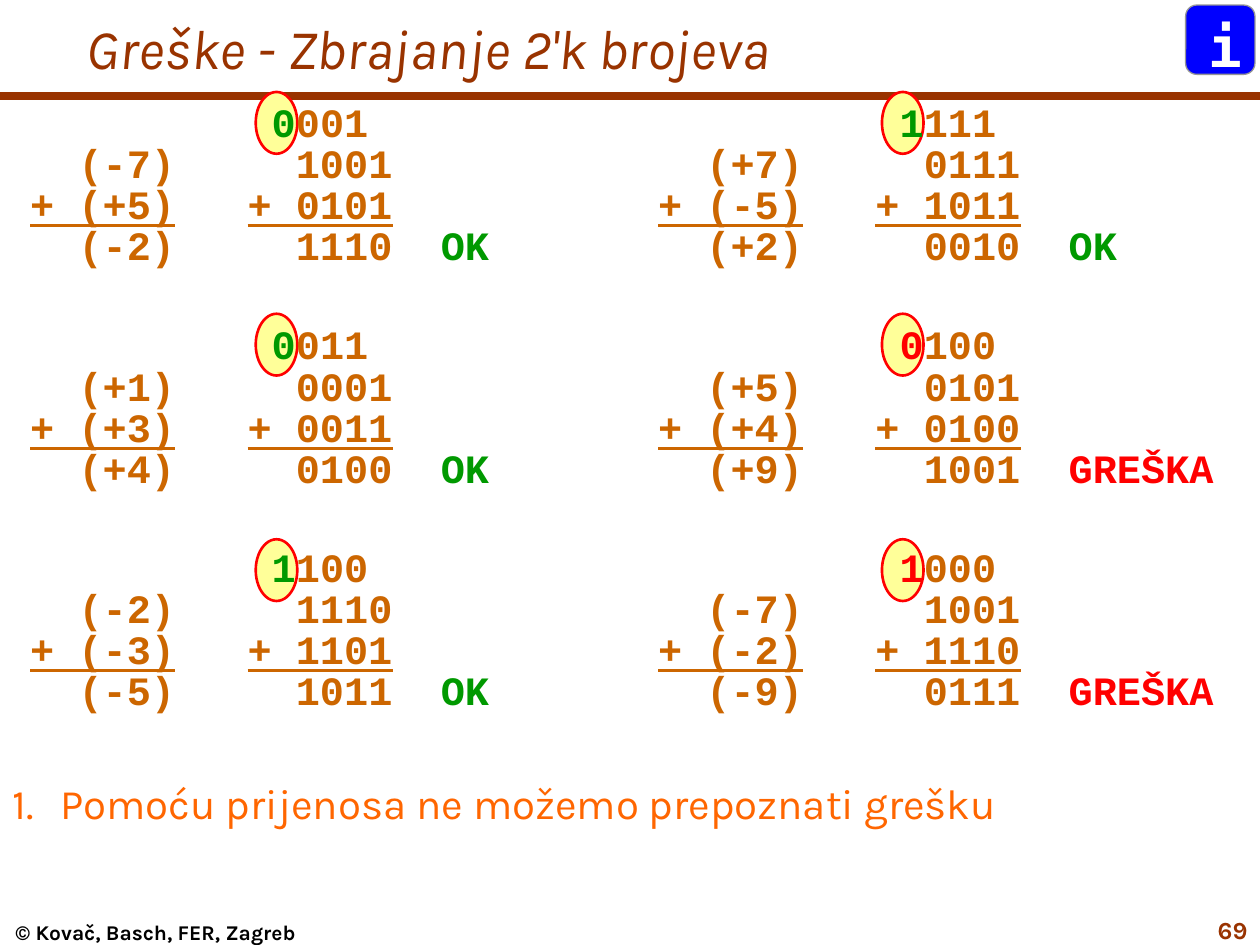
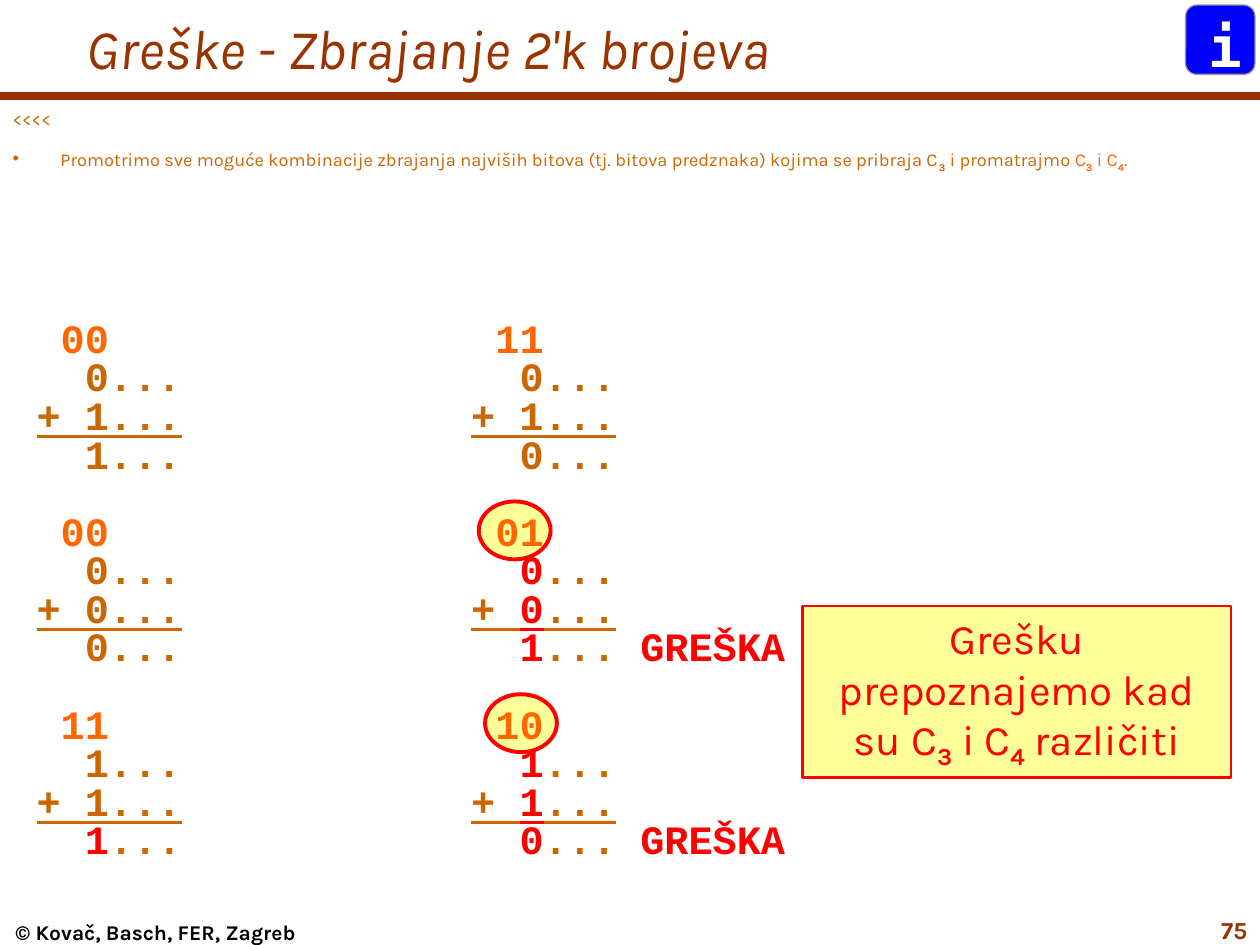
from lxml import etree
from pptx import Presentation
from pptx.oxml.ns import qn
from pptx.dml.color import RGBColor
from pptx.enum import shapes, text
from pptx.util import Inches, Pt

COLORS = {
    "rust": "993300", "ochre": "CC6600", "orange": "FF6600", "red": "FF0000",
    "green": "009900", "yellow": "FFFF99", "blue": "0000FF", "grey": "969696",
    "white": "FFFFFF", "black": "000000",
}
TITLE = "Greške - Zbrajanje 2'k brojeva"
COPYRIGHT = "© Kovač, Basch, FER, Zagreb"
OK, ERROR = ("OK", "green"), ("GREŠKA", "red")

# decimal terms and sum, carries, binary terms and sum, verdict
SIGNED_SUMS = [
    [("(-7)", "(+5)", "(-2)", "0001", "1001", "0101", "1110", OK),
     ("(+7)", "(-5)", "(+2)", "1111", "0111", "1011", "0010", OK)],
    [("(+1)", "(+3)", "(+4)", "0011", "0001", "0011", "0100", OK),
     ("(+5)", "(+4)", "(+9)", "0100", "0101", "0100", "1001", ERROR)],
    [("(-2)", "(-3)", "(-5)", "1100", "1110", "1101", "1011", OK),
     ("(-7)", "(-2)", "(-9)", "1000", "1001", "1110", "0111", ERROR)],
]
CARRY_MARKS = [(x, y, 0.33, 0.49) for x in (2.03, 7) for y in (0.73, 2.49, 4.28)]

# carries, sign bits of the terms, sign bit of the sum, colours of terms and sum
SIGN_SUMS = [
    [("00", "0", "1", "1", "ochre", "ochre"), ("11", "0", "1", "0", "ochre", "ochre")],
    [("00", "0", "0", "0", "ochre", "ochre"), ("01", "0", "0", "1", "red", "red")],
    [("11", "1", "1", "1", "ochre", "red"), ("10", "1", "1", "0", "red", "red")],
]
ERROR_MARKS = [(3.8, 3.98, 0.57, 0.46), (3.85, 5.51, 0.57, 0.46)]

SUB, HOT = {"bold": True, "sub": True}, {"color": "orange"}
CONCLUSION = [("Pomoću prijenosa ne možemo prepoznati grešku", {})]
TASK = [
    ("Promotrimo sve moguće kombinacije zbrajanja najviših bitova "
     "(tj. bitova predznaka) kojima se pribraja C", {}),
    ("3", SUB), (" i promatrajmo ", {}), ("C", HOT), ("3", SUB | HOT),
    (" i C", HOT), ("4", SUB | HOT), (".", {}),
]
RULE = [("Grešku prepoznajemo kad su C", {}), ("3", SUB), (" i C", {}),
        ("4", SUB), (" različiti", {})]

SUM_FONT = {"name": "Courier New", "size": 23, "bold": True, "color": "ochre"}
CHAR_WIDTH = 0.6 * SUM_FONT["size"] / 72
SIGNED_STEP, SIGN_STEP = 26, 18     # characters between neighbouring sums


def rgb(name):
    return RGBColor.from_string(COLORS[name])


def box(at):
    return [Inches(length) for length in at]


def write(paragraph, runs, **base):
    """Add (text, format) runs, each format overriding the base one."""
    for words, changes in runs:
        run = paragraph.add_run()
        run.text = words
        values = {"name": "Karla", "bold": False} | base | changes
        run.font.color.rgb = rgb(values.pop("color"))
        run.font.size = Pt(values.pop("size"))
        if values.pop("sub", False):
            run._r.get_or_add_rPr().set("baseline", "-25000")
        for key, value in values.items():
            setattr(run.font, key, value)


def set_frame(frame, insets=(0.1, 0.05), anchor=text.MSO_ANCHOR.TOP):
    across, down = box(insets)
    for key, value in {
        "word_wrap": True, "auto_size": text.MSO_AUTO_SIZE.NONE,
        "vertical_anchor": anchor, "margin_left": across, "margin_right": across,
        "margin_top": down, "margin_bottom": down,
    }.items():
        setattr(frame, key, value)
    return frame


def place(placeholder, at, **frame_format):
    placeholder.left, placeholder.top, placeholder.width, placeholder.height = box(at)
    return set_frame(placeholder.text_frame, **frame_format)


def add_text(slide, at, runs, align=text.PP_ALIGN.LEFT, insets=(0.1, 0.05), **base):
    frame = set_frame(slide.shapes.add_textbox(*box(at)).text_frame, insets)
    frame.paragraphs[0].alignment = align
    write(frame.paragraphs[0], runs, **base)


def add_filled(slide, kind, at, fill, line, width):
    shape = slide.shapes.add_shape(kind, *box(at))
    shape.shadow.inherit = False
    shape.fill.solid()
    shape.fill.fore_color.rgb = rgb(fill)
    shape.line.color.rgb = rgb(line)
    shape.line.width = Pt(width)
    return shape


def list_item(paragraph, marker, indent=0.38, **attributes):
    """Give a paragraph a hanging indent and a bullet element."""
    properties = paragraph._p.get_or_add_pPr()
    properties.set("marL", str(Inches(indent)))
    properties.set("indent", str(-Inches(indent)))
    etree.SubElement(properties, qn(marker), attributes)


def add_marks(slide, places, width):
    for at in places:
        add_filled(slide, shapes.MSO_SHAPE.OVAL, at, "yellow", "red", width)


def signed_rows(sums):
    """Four rows of (column, text, format) for sums standing side by side."""
    rows = [[], [], [], []]
    for i, (a, b, total, carries, x, y, bits, verdict) in enumerate(sums):
        start = i * SIGNED_STEP
        word, color = verdict
        rows[0] += [(start + 10, carries[0], {"color": color}),
                    (start + 11, carries[1:], {})]
        rows[1] += [(start + 2, a, {}), (start + 11, x, {})]
        rows[2] += [(start, f"+ {b}", {"underline": True}),
                    (start + 9, f"+ {y}", {"underline": True})]
        rows[3] += [(start + 2, total, {}), (start + 11, bits, {}),
                    (start + 17, word, {"color": color})]
    return rows


def sign_rows(sums):
    """Four rows of (column, text, format) for sums of sign bits."""
    rows = [[], [], [], []]
    for i, (carries, x, y, total, terms, result) in enumerate(sums):
        start = i * SIGN_STEP
        line = {"underline": True}
        rows[0] += [(start + 1, carries, HOT)]
        rows[1] += [(start + 2, x, {"color": terms}), (start + 3, "...", {})]
        rows[2] += [(start, "+ ", line), (start + 2, y, line | {"color": terms}),
                    (start + 3, "...", line)]
        rows[3] += [(start + 2, total, {"color": result}), (start + 3, "...", {})]
        if terms == "red":
            rows[3] += [(start + 7, ERROR[0], {"color": ERROR[1]})]
    return rows


def add_sums(slide, at, blocks, spacing, gap):
    """Write blocks of rows in one box, with tab stops on the character grid."""
    frame = set_frame(slide.shapes.add_textbox(*box(at)).text_frame, (0, 0.05))
    for b, rows in enumerate(blocks):
        for r, row in enumerate(rows):
            first = b == r == 0
            paragraph = frame.paragraphs[0] if first else frame.add_paragraph()
            paragraph.line_spacing = spacing
            paragraph.space_before = Pt(gap if b and not r else 0)
            tabs = etree.SubElement(paragraph._p.get_or_add_pPr(), qn("a:tabLst"))
            end = 0
            for column, words, changes in row:
                if column > end:
                    stop = str(Inches(column * CHAR_WIDTH))
                    etree.SubElement(tabs, qn("a:tab"), pos=stop, algn="l")
                    write(paragraph, [("\t", {})], **SUM_FONT)
                write(paragraph, [(words, changes)], **SUM_FONT)
                end = column + len(words)


def start_slide(deck, number):
    """Add a slide with the title, band, footer and info button."""
    slide = deck.slides.add_slide(deck.slide_layouts[1])
    title = place(slide.shapes.title, (0.59, 0, 9.41, 0.75),
                  anchor=text.MSO_ANCHOR.MIDDLE).paragraphs[0]
    title.alignment = text.PP_ALIGN.LEFT
    write(title, [(TITLE, {})], size=32, italic=True, color="rust")

    band = slide.shapes.add_connector(shapes.MSO_CONNECTOR.STRAIGHT,
                                      *box((0, 0.76, 10, 0.76)))
    band.line.color.rgb = rgb("rust")
    band.line.width = Pt(4.5)
    etree.SubElement(band._element.spPr, qn("a:effectLst"))

    add_text(slide, (0, 7.3, 2.47, 0.2), [(COPYRIGHT, {})], text.PP_ALIGN.CENTER,
             (0, 0), size=12, bold=True, color="black")
    add_text(slide, (9.17, 7.21, 0.83, 0.28), [(str(number), {})],
             text.PP_ALIGN.RIGHT, size=14, bold=True, color="rust")
    button = add_filled(slide, shapes.MSO_SHAPE.ROUNDED_RECTANGLE,
                        (9.41, 0.04, 0.55, 0.55), "blue", "grey", 0.75)
    button.adjustments[0] = 0.16
    add_text(slide, (9.49, 0.04, 0.39, 0.64), [("i", {})],
             name="DejaVu Sans Mono", size=32, bold=True, color="white")
    return slide


def signed_slide(deck):
    slide = start_slide(deck, 69)
    add_marks(slide, CARRY_MARKS, 1.5)
    add_sums(slide, (0.24, 0.78, 9.54, 4.94),
             [signed_rows(sums) for sums in SIGNED_SUMS], 0.85, 33.5)
    conclusion = place(slide.placeholders[1], (0, 6.12, 10, 0.5)).paragraphs[0]
    conclusion.space_before = Pt(0)
    list_item(conclusion, "a:buAutoNum", type="arabicPeriod")
    write(conclusion, CONCLUSION, size=24, color="orange")


def sign_bit_slide(deck):
    slide = start_slide(deck, 75)
    add_marks(slide, ERROR_MARKS, 2.25)
    add_sums(slide, (0.29, 2.51, 6.23, 4.39),
             [sign_rows(sums) for sums in SIGN_SUMS], 0.8, 22)
    body = place(slide.placeholders[1], (0, 0.84, 10, 0.84))
    arrows, task = body.paragraphs[0], body.add_paragraph()
    for paragraph, runs, before, marker, attributes in (
        (arrows, [("<<<<", {})], 0, "a:buNone", {}),
        (task, TASK, 12, "a:buChar", {"char": "•"}),
    ):
        paragraph.line_spacing = 0.8
        paragraph.space_before = Pt(before)
        list_item(paragraph, marker, **attributes)
        write(paragraph, runs, size=10.4, color="ochre")

    rule = add_filled(slide, shapes.MSO_SHAPE.RECTANGLE, (6.37, 4.81, 3.4, 1.36),
                      "yellow", "red", 1.5)
    paragraph = set_frame(rule.text_frame, anchor=text.MSO_ANCHOR.MIDDLE).paragraphs[0]
    paragraph.alignment = text.PP_ALIGN.CENTER
    write(paragraph, RULE, size=24, color="red")


def main():
    deck = Presentation()
    deck.slide_width, deck.slide_height = box((10, 7.5))
    signed_slide(deck)
    sign_bit_slide(deck)
    deck.save("out.pptx")


if __name__ == "__main__":
    main()
